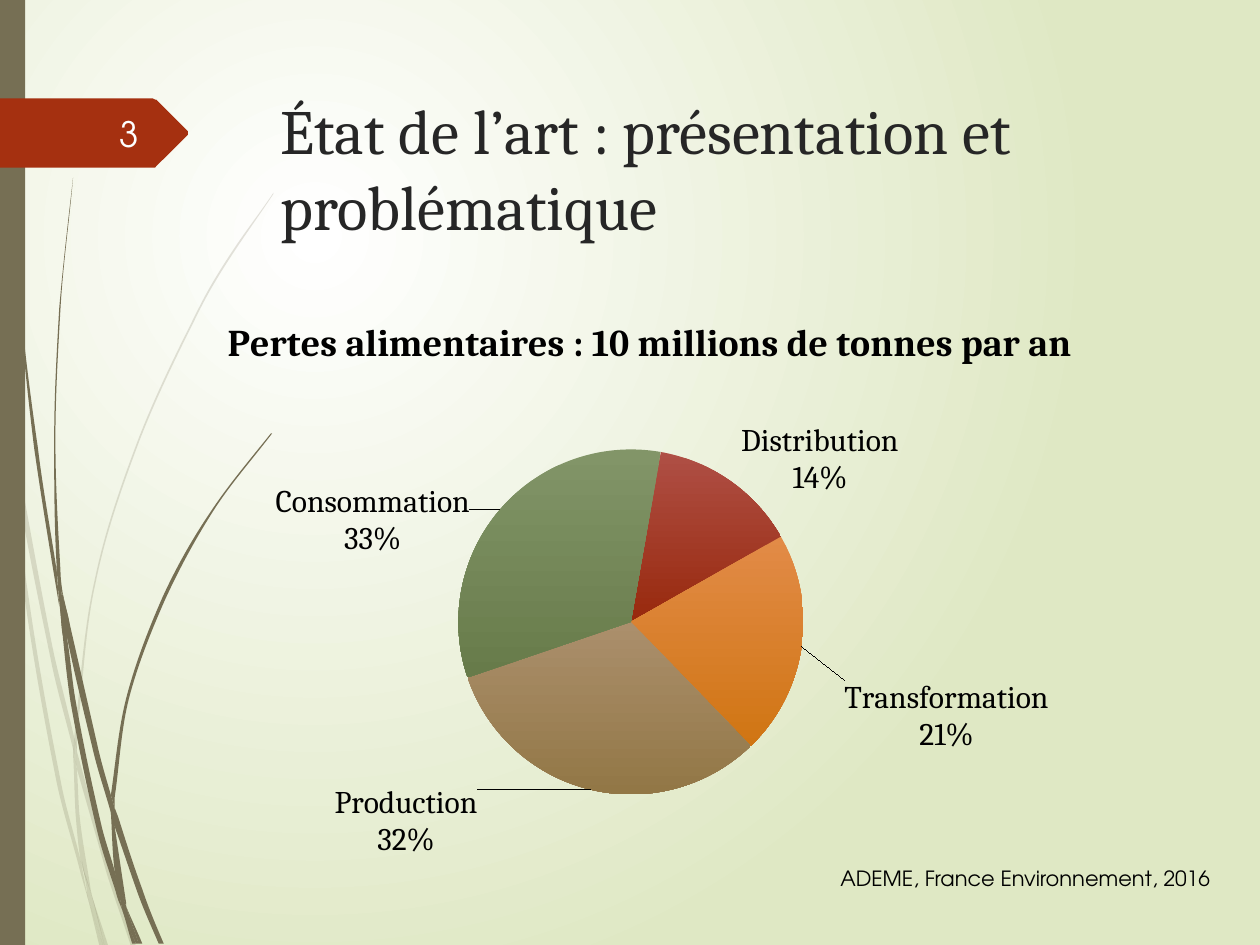
from math import dist

from lxml import etree
from pptx import Presentation
from pptx.chart.data import CategoryChartData
from pptx.dml.color import RGBColor
from pptx.enum.chart import XL_CHART_TYPE, XL_LABEL_POSITION
from pptx.enum.shapes import MSO_SHAPE
from pptx.enum.text import MSO_ANCHOR, PP_ALIGN
from pptx.oxml.ns import qn
from pptx.util import Cm, Pt

PIE = XL_CHART_TYPE.PIE
BEST_FIT = XL_LABEL_POSITION.BEST_FIT
RECTANGLE = MSO_SHAPE.RECTANGLE
TOP, MIDDLE = MSO_ANCHOR.TOP, MSO_ANCHOR.MIDDLE
LEFT, RIGHT = PP_ALIGN.LEFT, PP_ALIGN.RIGHT

SERIF, SANS = "Cambria", "TeX Gyre Adventor"
OLIVE, RUST = "766F54", "A53010"
HUNDREDTH_INCH = Cm(0.0254)

PALE_BLADES = [
    ([(8, 350), (6, 322), (0, 282)], [(0, 299), (7, 344), (8, 350)]),
    ([(10, 345), (43, 520), (59, 586)], [(59, 599), (40, 522), (12, 376), (10, 345)]),
    ([(61, 596), (64, 607), (88, 692), (108, 751)], [(104, 751), (85, 694), (61, 610)]),
    ([(83, 751), (73, 711)], [(73, 711), (86, 751)]),
    ([(8, 350), (12, 376), (22, 469), (48, 619), (64, 683), (70, 714)],
     [(70, 714), (64, 693), (45, 621), (19, 470), (8, 350)]),
    ([(58, 599), (60, 646), (64, 683), (73, 711)],
     [(73, 711), (72, 706), (63, 646), (61, 610), (58, 599)]),
    ([(61, 596), (61, 584), (76, 462), (111, 349), (159, 245), (187, 198), (217, 154)],
     [(217, 153), (186, 197), (158, 244), (110, 348), (75, 461), (59, 584), (59, 586)]),
    ([(70, 714), (79, 751)], [(82, 751), (70, 714)]),
    ([(61, 608), (61, 596), (59, 586)], [(58, 599), (61, 608)]),
    ([(65, 683), (67, 692), (73, 711), (83, 751)],
     [(82, 751), (70, 714), (69, 707), (65, 683)]),
]
DARK_BLADES = [
    ([(2, 0), (5, 110), (14, 233), (27, 355), (47, 481)],
     [(45, 453), (30, 355), (15, 232), (6, 109), (3, 0)]),
    ([(50, 472), (53, 505), (73, 592), (88, 645)], [(88, 631), (77, 590), (50, 472)]),
    ([(91, 641), (94, 649), (113, 706), (130, 749)], [(126, 749), (109, 708), (91, 656)]),
    ([(47, 477), (53, 505), (60, 556), (81, 657), (91, 691), (97, 722)],
     [(97, 722), (92, 708), (77, 659), (56, 557), (47, 477)]),
    ([(50, 472), (48, 453), (44, 349), (48, 245), (58, 141)],
     [(58, 141), (47, 245), (43, 349), (45, 449), (49, 472)]),
    ([(110, 749), (100, 719)], [(100, 719), (113, 749)]),
    ([(47, 477), (53, 505), (50, 472)], [(49, 472), (45, 449), (45, 453), (47, 477)]),
    ([(91, 641), (91, 633), (103, 552), (131, 476), (169, 406), (216, 344)],
     [(215, 344), (168, 405), (129, 474), (101, 551), (88, 631)]),
    ([(97, 722), (105, 749)], [(108, 749), (97, 722)]),
    ([(88, 645), (91, 691), (100, 719)],
     [(100, 716), (91, 656), (90, 651), (88, 645)]),
    ([(88, 645), (91, 656), (91, 641)], [(88, 631), (88, 645)]),
    ([(91, 691), (96, 717), (97, 722), (108, 749)],
     [(110, 749), (100, 719), (96, 706), (91, 691)]),
]
TAG_OUTLINE = [(149, 107), (124, 132), (123, 133), (121, 133), (0, 133), (0, 78),
               (121, 78), (123, 79), (124, 79), (149, 104)]

CHART_TITLE = "Pertes alimentaires : 10 millions de tonnes par an"
STAGES = [
    ("Distribution", 14, ("AF4F45", "98290D"), (0.6, 3.6)),
    ("Transformation", 21, ("E28B47", "D07513"), (3.2, 5.5)),
    ("Production", 32, ("AB8F6C", "927746"), (-10, -2)),
    ("Consommation", 33, ("829568", "677B4A"), (-2.2, 8.9)),
]


def color(hex_value):
    return RGBColor.from_string(hex_value)


def apply(target, **values):
    for attribute, value in values.items():
        setattr(target, attribute, value)


def add_xml(parent, tag, **attributes):
    return etree.SubElement(parent, qn(tag), {k: str(v) for k, v in attributes.items()})


def paint(shape, hex_value, opacity=100):
    shape.shadow.inherit = False
    shape.line.fill.background()
    shape.fill.solid()
    shape.fill.fore_color.rgb = color(hex_value)
    if opacity < 100:
        add_xml(next(shape.element.spPr.iter(qn("a:srgbClr"))), "a:alpha", val=opacity * 1000)


def paint_background(slide):
    fill = slide.background.fill
    fill.gradient()
    for stop, hex_value in zip(fill.gradient_stops, ("FFFFFF", "DFE8C4")):
        stop.color.rgb = color(hex_value)
    gradient = next(slide.element.iter(qn("a:gradFill")))
    gradient.remove(gradient.find(qn("a:lin")))
    circle = add_xml(gradient, "a:path", path="circle")
    add_xml(circle, "a:fillToRect", l=50000, t=50000, r=100000, b=100000)


def add_outline(shapes, points, hex_value, opacity=100):
    builder = shapes.build_freeform(*points[0], scale=HUNDREDTH_INCH)
    builder.add_line_segments(points[1:], close=True)
    outline = builder.convert_to_shape()
    paint(outline, hex_value, opacity)
    return outline


def bezier_handles(before, start, end, after):
    third = dist(start, end) / 3
    leaving = third / (dist(before, end) or 1)
    arriving = third / (dist(start, after) or 1)
    return [
        [s + leaving * (e - b) for b, s, e in zip(before, start, end)],
        [e - arriving * (a - s) for s, e, a in zip(start, end, after)],
    ]


def bend_edge(lines, knots):
    padded = [knots[0], *knots, knots[-1]]
    for line, *window in zip(lines, padded, padded[1:], padded[2:], padded[3:]):
        line.tag = qn("a:cubicBezTo")
        for position, (x, y) in enumerate(bezier_handles(*window)):
            line.insert(position, etree.Element(qn("a:pt"), x=str(round(x)), y=str(round(y))))


def add_blade(shapes, edges, opacity):
    blade = add_outline(shapes, [knot for edge in edges for knot in edge], OLIVE, opacity)
    knots = [(int(pt.get("x")), int(pt.get("y"))) for pt in blade.element.iter(qn("a:pt"))]
    lines = list(blade.element.iter(qn("a:lnTo")))
    split = len(edges[0])
    bend_edge(lines[:split - 1], knots[:split])
    bend_edge(lines[split:], knots[split:])
    if knots[split - 1] == knots[split]:
        joint = lines[split - 1]
        joint.getparent().remove(joint)


def add_blades(slide, blades, opacity):
    tuft = slide.shapes.add_group_shape()
    for edges in blades:
        add_blade(tuft.shapes, edges, opacity)


def add_text(slide, text, box, size, font, hex_value, align=LEFT, anchor=TOP):
    frame = slide.shapes.add_textbox(*map(Cm, box)).text_frame
    apply(frame, word_wrap=True, vertical_anchor=anchor)
    paragraph = frame.paragraphs[0]
    paragraph.alignment = align
    run = paragraph.add_run()
    run.text = text
    apply(run.font, size=Pt(size), name=font)
    run.font.color.rgb = color(hex_value)


def set_layout(parent, position, modes, **percents):
    for old in parent.findall(qn("c:layout")):
        parent.remove(old)
    layout = etree.Element(qn("c:layout"))
    manual = add_xml(layout, "c:manualLayout")
    values = modes | {name: percent / 100 for name, percent in percents.items()}
    for name, value in values.items():
        add_xml(manual, f"c:{name}", val=value)
    parent.insert(position, layout)


def format_title(chart):
    frame = chart.chart_title.text_frame
    frame.text = CHART_TITLE
    font = frame.paragraphs[0].runs[0].font
    apply(font, name=SERIF, size=Pt(21.6), bold=True)
    font.color.rgb = color("000000")
    title = next(chart.element.iter(qn("c:title")))
    set_layout(title, 1, {"xMode": "edge", "yMode": "edge"}, x=11.4, y=2.3)


def format_slice(point, shades):
    fill = point.format.fill
    fill.gradient()
    fill.gradient_angle = 270
    for stop, shade in zip(fill.gradient_stops, shades):
        stop.color.rgb = color(shade)
    point.format.line.fill.background()
    label = point.data_label
    apply(label.font, name=SERIF, size=Pt(18))
    label.font.color.rgb = color("000000")
    label.position = BEST_FIT


def place_label(label, offset):
    set_layout(label, 1, {}, x=offset[0], y=offset[1])
    for flag, value in {"showVal": 0, "showCatName": 1, "showPercent": 1}.items():
        label.find(qn(f"c:{flag}")).set("val", str(value))
    add_xml(label, "c:separator").text = "\n"


def add_losses_chart(slide):
    data = CategoryChartData()
    data.categories = [stage[0] for stage in STAGES]
    data.add_series("Series 1", [stage[1] for stage in STAGES])
    box = map(Cm, (1.9, 6, 22.4, 11.91))
    chart = slide.shapes.add_chart(PIE, *box, data).chart
    chart.has_legend = False
    apply(chart.font, name=SANS, size=Pt(18))
    chart.font.color.rgb = color("000000")
    format_title(chart)
    plot = chart.plots[0]
    plot.vary_by_categories = True
    losses = plot.series[0]
    for index, stage in enumerate(STAGES):
        format_slice(losses.points[index], stage[2])
    labels = losses.data_labels
    apply(labels, show_value=False, show_category_name=True, show_percentage=True,
          position=BEST_FIT)
    apply(labels.font, name=SERIF, size=Pt(18))
    for label, stage in zip(chart.element.iter(qn("c:dLbl")), STAGES):
        place_label(label, stage[3])
    pie = next(chart.element.iter(qn("c:pieChart")))
    for old in pie.findall(qn("c:firstSliceAng")):
        pie.remove(old)
    add_xml(pie, "c:firstSliceAng", val=10)
    set_layout(pie.getparent(), 0, {"layoutTarget": "inner", "xMode": "edge", "yMode": "edge"},
               x=32.75, y=25.7, w=31.1, h=58.4)


def main():
    presentation = Presentation()
    apply(presentation, slide_width=Cm(25.4), slide_height=Cm(19.05))
    slide = presentation.slides.add_slide(presentation.slide_layouts[6])
    paint_background(slide)
    add_blades(slide, PALE_BLADES, 20)
    add_blades(slide, DARK_BLADES, 100)
    side_band = slide.shapes.add_shape(RECTANGLE, *map(Cm, (0, 0, 0.51, 19.05)))
    paint(side_band, OLIVE)
    add_outline(slide.shapes, TAG_OUTLINE, RUST)
    add_text(slide, "État de l’art : présentation et problématique",
             (5.41, 1.73, 18.31, 3.56), 36, SERIF, "262626")
    add_losses_chart(slide)
    add_text(slide, "3", (1.42, 2.18, 1.63, 1.02), 20, SANS, "FEFFFF", RIGHT, MIDDLE)
    add_text(slide, "ADEME, France Environnement, 2016",
             (16.69, 17.32, 8.2, 0.76), 12, SANS, "000000")
    presentation.save("out.pptx")


if __name__ == "__main__":
    main()
